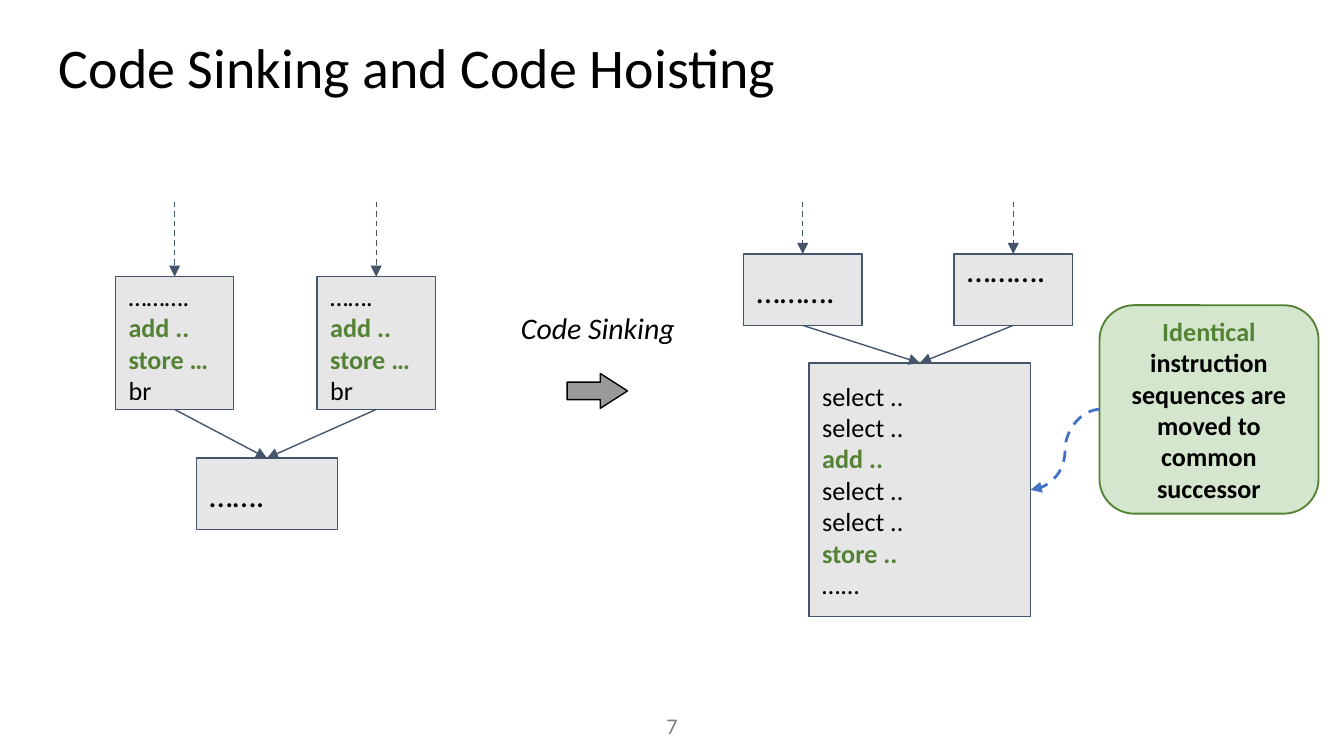
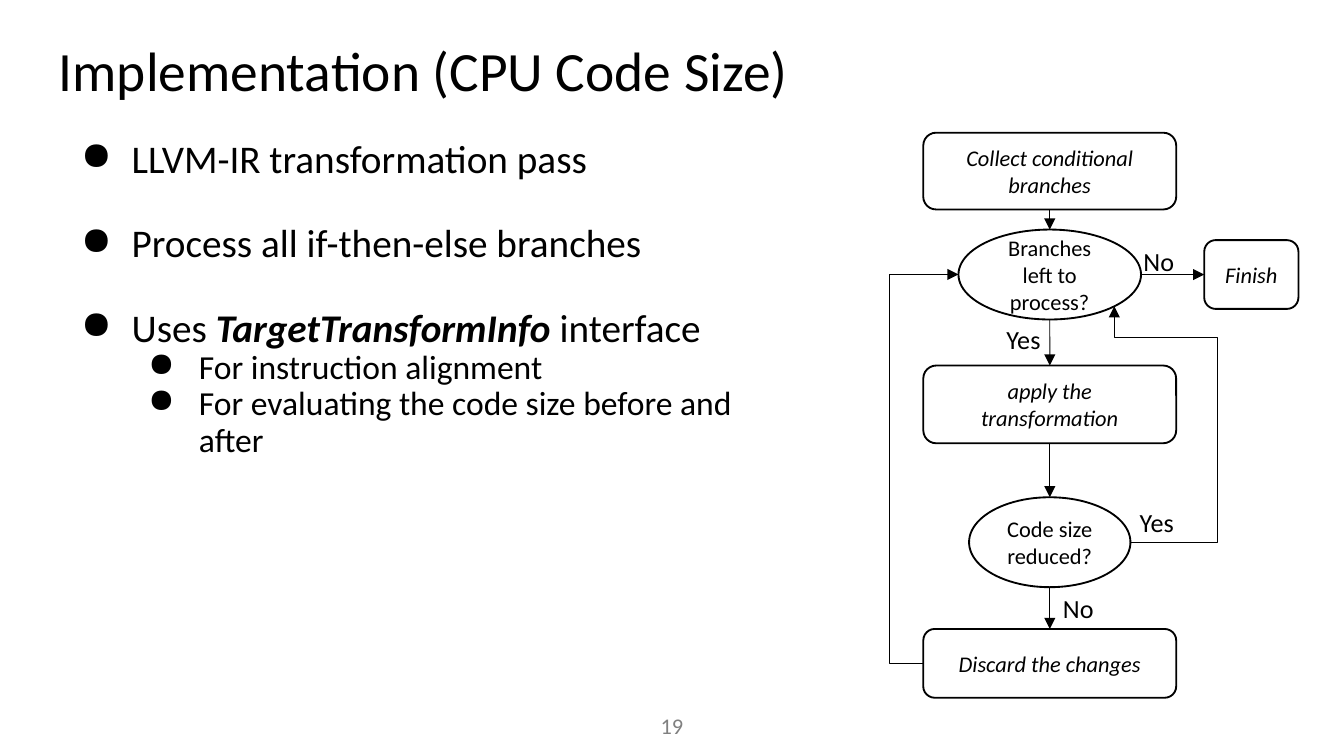
from dataclasses import dataclass

from lxml.etree import SubElement
from pptx import Presentation
from pptx.dml.color import RGBColor
from pptx.enum.dml import MSO_LINE as Dash
from pptx.enum.shapes import MSO_CONNECTOR as Route, MSO_SHAPE as Form
from pptx.enum.text import MSO_ANCHOR as Anchor, MSO_AUTO_SIZE as Fit, PP_ALIGN as Align
from pptx.oxml.ns import qn
from pptx.util import Cm, Pt

HUES = {
    "ink": "000000", "paper": "FFFFFF", "block": "E7E6E6", "edge": "44546A",
    "green": "548235", "mint": "D4E7CE", "gray": "999999", "page": "808080",
    "blue": "4472C4",
}
FONT = "Calibri"
TOP, LEFT, BOTTOM, RIGHT = range(4)
PAD = 0.25
MID = 19.84  # centre line of the flow chart


@dataclass
class Box:
    x: float
    y: float
    w: float
    h: float
    text: str = ""
    size: float = 14
    form: Form = Form.RECTANGLE
    fill: str = "block"
    line: str = "edge"
    width: float = 0.75
    align: Align = Align.LEFT
    bold: bool = False
    ital: bool = False
    pad: float = PAD
    foot: float = PAD


@dataclass
class Label:
    x: float
    y: float
    w: float
    h: float
    text: str
    size: float = 14
    hue: str = "ink"
    align: Align = Align.LEFT
    anchor: Anchor = Anchor.TOP
    ital: bool = False
    pad: float = PAD
    grow: bool = False


@dataclass
class Point:
    text: str
    level: int = 0
    gap: float = 0
    term: str = ""
    rest: str = ""


def color(hue: str) -> RGBColor:
    return RGBColor.from_string(HUES[hue])


def style(run, size: float, hue: str = "ink", bold: bool = False, ital: bool = False) -> None:
    font = run.font
    font.name, font.size = FONT, Pt(size)
    font.bold, font.italic = bold, ital
    font.color.rgb = color(hue)


def add_run(par, text: str):
    run = par.add_run()
    run.text = text
    return run


def inset(frame, pad: float, foot: float) -> None:
    """Set equal margins, except for the bottom one."""
    frame.word_wrap = True
    frame.margin_left = frame.margin_right = Cm(PAD)
    frame.margin_top, frame.margin_bottom = Cm(pad), Cm(foot)


def add_box(slide, box: Box):
    shape = slide.shapes.add_shape(box.form, Cm(box.x), Cm(box.y), Cm(box.w), Cm(box.h))
    shape.shadow.inherit = False
    if box.fill:
        shape.fill.solid()
        shape.fill.fore_color.rgb = color(box.fill)
    else:
        shape.fill.background()
    shape.line.color.rgb = color(box.line)
    shape.line.width = Pt(box.width)
    if box.text:
        frame = shape.text_frame
        inset(frame, box.pad, box.foot)
        frame.vertical_anchor = Anchor.MIDDLE
        frame.text = box.text
        for par in frame.paragraphs:
            par.alignment = box.align
            for run in par.runs:
                style(run, box.size, "ink", box.bold, box.ital)
    return shape


def add_label(slide, tag: Label):
    shape = slide.shapes.add_textbox(Cm(tag.x), Cm(tag.y), Cm(tag.w), Cm(tag.h))
    frame = shape.text_frame
    inset(frame, tag.pad, tag.pad)
    frame.vertical_anchor = tag.anchor
    if tag.grow:
        frame.auto_size = Fit.SHAPE_TO_FIT_TEXT
    frame.text = tag.text
    par = frame.paragraphs[0]
    par.alignment = tag.align
    style(par.runs[0], tag.size, tag.hue, ital=tag.ital)
    return shape


def side(shape, spot: int) -> tuple[int, int]:
    """Give the middle of one side of a shape."""
    x, y, w, h = shape.left, shape.top, shape.width, shape.height
    return ((x + w // 2, y), (x, y + h // 2), (x + w // 2, y + h), (x + w, y + h // 2))[spot]


def draw(slide, start, end, hue: str, width: float, dash: bool = False,
         route: Route = Route.STRAIGHT):
    """Draw an arrow between two points."""
    wire = slide.shapes.add_connector(route, *start, *end)
    wire.line.color.rgb = color(hue)
    wire.line.width = Pt(width)
    if dash:
        wire.line.dash_style = Dash.DASH
    props = wire._element.spPr
    SubElement(wire.line._get_or_add_ln(), qn("a:tailEnd"), type="triangle")
    SubElement(props, qn("a:effectLst"))
    return wire


def link(slide, first, out: int, last, into: int, hue: str, width: float,
         dash: bool = False, route: Route = Route.STRAIGHT) -> None:
    """Draw an arrow between two shapes; an ellipse numbers its sites otherwise."""
    wire = draw(slide, side(first, out), side(last, into), hue, width, dash, route)
    if first.auto_shape_type != Form.OVAL:
        wire.begin_connect(first, out)
    if last.auto_shape_type != Form.OVAL:
        wire.end_connect(last, into)


def bend(slide, start, end, turn: list[int], preset: str) -> None:
    """Draw an elbow arrow that turns at the given x, then y."""
    wire = draw(slide, start, end, "ink", 0.5, route=Route.ELBOW)
    geom = wire._element.spPr.find(qn("a:prstGeom"))
    geom.set("prst", preset)
    guides = geom.find(qn("a:avLst"))
    if guides is None:
        guides = SubElement(geom, qn("a:avLst"))
    for n, (a, b, at) in enumerate(zip(start, end, turn), 1):
        ratio = round((at - a) / (b - a) * 100000)
        SubElement(guides, qn("a:gd"), name=f"adj{n}", fmla=f"val {ratio}")


def add_slide(deck, title: str, page: str, y: float, size: float):
    slide = deck.slides.add_slide(deck.slide_layouts[6])
    head = add_label(slide, Label(0.86, y, 23.67, 1.6, title, size))
    head.text_frame.paragraphs[0].line_spacing = 0.9
    add_label(slide, Label(11.94, 13.18, 1.52, 1.09, page, 12, "page",
                           Align.CENTER, Anchor.MIDDLE))
    return slide


def add_block(slide, *args, **extra):
    """Add a code block with the shared instructions in green."""
    shape = add_box(slide, Box(*args, **extra))
    for par in shape.text_frame.paragraphs:
        if par.text.startswith(("add", "store")):
            for run in par.runs:
                style(run, 14, "green", bold=True)
    return shape


def sinking(deck) -> None:
    slide = add_slide(deck, "Code Sinking and Code Hoisting", "7", 0.51, 30)
    code = "\nadd ..\nstore …\nbr"
    olds = [add_block(slide, x, 5.23, 2.24, 2.51, dots + code)
            for x, dots in ((2.18, "………."), (5.99, "……."))]
    join = add_block(slide, 3.71, 8.66, 2.67, 1.35, "…….", 18)
    news = [add_block(slide, x, 4.8, 2.24, 1.35, "……….", 18, foot=foot)
            for x, foot in ((14.05, PAD), (18.03, 1.03))]
    lines = ["select ..", "select ..", "add ..", "select ..", "select ..", "store ..", "…..."]
    sink = add_block(slide, 15.29, 6.86, 4.19, 4.8, "\n".join(lines))

    for tops, goal in ((olds, join), (news, sink)):
        for top in tops:
            link(slide, top, BOTTOM, goal, TOP, "edge", 0.75)
            end = side(top, TOP)
            wire = draw(slide, (end[0], Cm(3.81)), end, "edge", 0.75, dash=True)
            wire.end_connect(top, TOP)

    arrow = add_box(slide, Box(10.72, 7.06, 1.14, 0.66, form=Form.RIGHT_ARROW,
                               fill="gray", line="ink"))
    arrow.adjustments[1] = 0.78
    add_label(slide, Label(9.47, 5.61, 3.66, 1.19, "Code Sinking", 16,
                           align=Align.CENTER, ital=True, grow=True))

    note = add_box(slide, Box(20.78, 5.77, 4.14, 3.94, "Identical", 14,
                              Form.ROUNDED_RECTANGLE, "mint", "green", 1,
                              Align.CENTER, pad=0.13, foot=0.13))
    par = note.text_frame.paragraphs[0]
    style(par.runs[0], 14, "green", bold=True)
    rest = add_run(par, " instruction sequences are moved to common successor")
    style(rest, 14, bold=True)
    link(slide, note, LEFT, sink, RIGHT, "blue", 1.5, True, Route.CURVE)


def add_points(slide, points: list[Point]) -> None:
    shape = slide.shapes.add_textbox(Cm(0.97), Cm(2.39), Cm(14.1), Cm(9.83))
    frame = shape.text_frame
    inset(frame, PAD, PAD)
    frame.text = "\n".join(point.text for point in points)
    for par, point in zip(frame.paragraphs, points):
        size = 18 if point.level else 21
        style(par.runs[0], size)
        if point.term:
            style(add_run(par, point.term), size, bold=True, ital=True)
            style(add_run(par, point.rest), size)
        par.level = point.level
        par.line_spacing = 0.9
        par.space_before = Pt(point.gap)
        props = par._p.get_or_add_pPr()
        props.set("marL", str(Cm(1.27 * (point.level + 1))))
        props.set("indent", str(Cm(-0.96)))
        tint = SubElement(props, qn("a:buClr"))
        SubElement(tint, qn("a:srgbClr"), val=HUES["ink"])
        SubElement(props, qn("a:buChar"), char="●")


def add_step(slide, y: float, w: float, h: float, text: str,
             form: Form = Form.ROUNDED_RECTANGLE, mid: float = MID):
    """Add a flow chart step centred on a vertical line."""
    test = form == Form.OVAL
    return add_box(slide, Box(mid - w / 2, y, w, h, text, 12, form,
                              "" if test else "paper", "ink", 1, Align.CENTER,
                              ital=not test, pad=0.13, foot=0.13))


def passes(deck) -> None:
    slide = add_slide(deck, "Implementation (CPU Code Size)", "19", 0.58, 29.7)
    add_points(slide, [
        Point("LLVM-IR transformation pass"),
        Point("Process all if-then-else branches", gap=22.5),
        Point("Uses ", 0, 22.5, "TargetTransformInfo", " interface"),
        Point("For instruction alignment", 1),
        Point("For evaluating the code size before and after", 1),
    ])
    flow = [
        add_step(slide, 2.51, 4.78, 1.45, "Collect conditional branches"),
        add_step(slide, 4.34, 3.45, 1.7, "Branches left to process?", Form.OVAL),
        add_step(slide, 6.91, 4.78, 1.47, "apply the transformation"),
        add_step(slide, 9.4, 3.05, 1.7, "Code size reduced?", Form.OVAL),
        add_step(slide, 11.89, 4.78, 1.3, "Discard the changes"),
    ]
    for upper, lower in zip(flow, flow[1:]):
        link(slide, upper, BOTTOM, lower, TOP, "ink", 0.5)
    left, size, drop = flow[1], flow[3], flow[4]
    done = add_step(slide, 4.54, 1.78, 1.3, "Finish", mid=23.65)
    link(slide, left, RIGHT, done, LEFT, "ink", 0.5)

    bend(slide, side(drop, LEFT), side(left, LEFT), [Cm(16.81)], "bentConnector3")
    bend(slide, side(size, RIGHT), (Cm(21.06), Cm(5.79)), [Cm(23.01), Cm(6.38)],
         "bentConnector4")

    for x, y, word in ((19.84, 11.07, "No"), (21.29, 9.45, "Yes"),
                       (18.77, 5.99, "Yes"), (21.36, 4.5, "No")):
        add_label(slide, Label(x, y, 1.3, 0.86, word, pad=0.13, grow=True))


def main() -> None:
    deck = Presentation()
    deck.slide_width, deck.slide_height = Cm(25.4), Cm(14.29)
    sinking(deck)
    passes(deck)
    deck.save("out.pptx")


if __name__ == "__main__":
    main()
